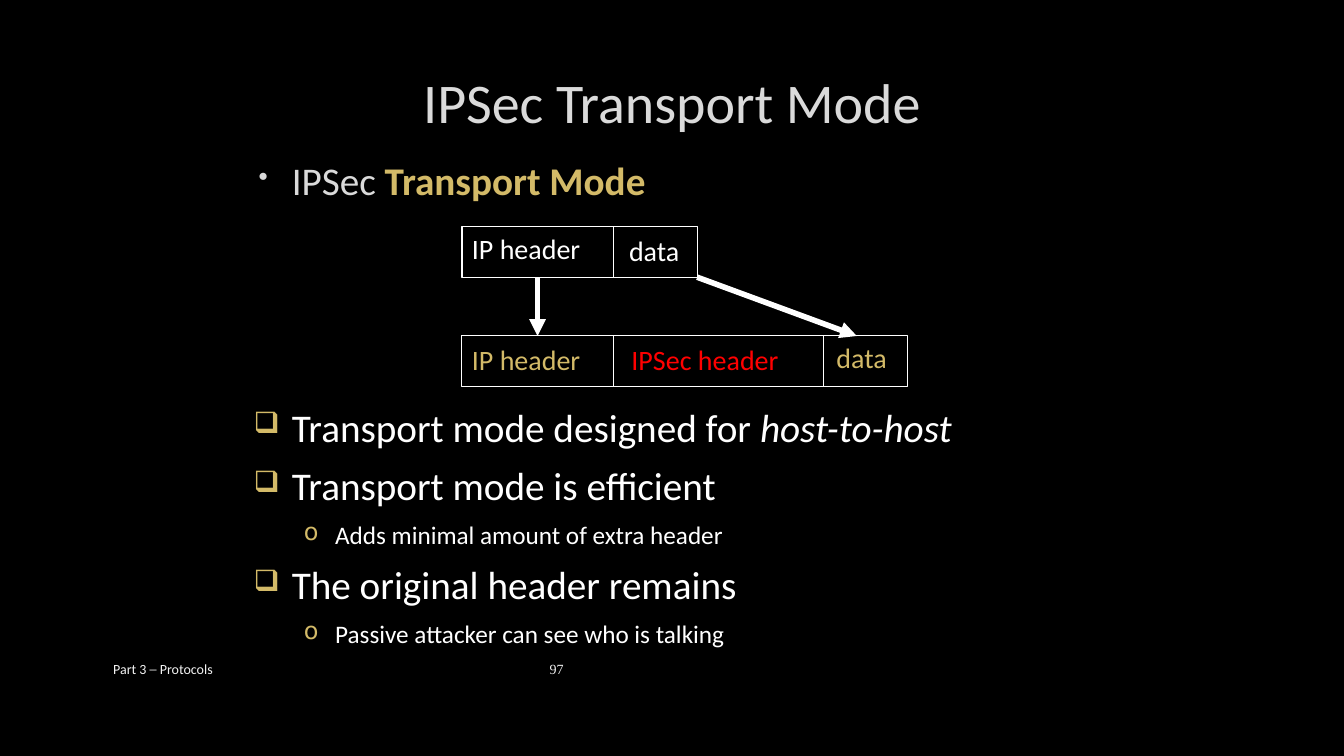
from dataclasses import dataclass

from lxml import etree
from pptx import Presentation
from pptx.dml.color import RGBColor
from pptx.enum.shapes import MSO_CONNECTOR, MSO_SHAPE
from pptx.enum.text import MSO_ANCHOR, MSO_AUTO_SIZE, PP_ALIGN
from pptx.oxml.ns import qn
from pptx.util import Inches, Pt

STRAIGHT, RECTANGLE = MSO_CONNECTOR.STRAIGHT, MSO_SHAPE.RECTANGLE
TOP, MIDDLE = MSO_ANCHOR.TOP, MSO_ANCHOR.MIDDLE
LEFT, CENTER = PP_ALIGN.LEFT, PP_ALIGN.CENTER
GROW = MSO_AUTO_SIZE.SHAPE_TO_FIT_TEXT


@dataclass(frozen=True)
class Theme:
    background: str = "000000"
    white: str = "FFFFFF"
    grey: str = "DADADA"
    footer: str = "F2F2F2"
    gold: str = "D3BA68"
    red: str = "FF0000"
    font: str = "Calibri"
    number_font: str = "Times New Roman"
    title_size: int = 40
    body_size: int = 28
    label_size: int = 20
    detail_size: int = 18
    footer_size: int = 10
    thin: float = 0.75
    thick: float = 4


THEME = Theme()

# Content
TITLE = "IPSec Transport Mode"
INTRO = [("dot", [("IPSec ", {}), ("Transport Mode", {"color": THEME.gold, "bold": True})])]
POINTS = [
    ("box", [("Transport mode designed for ", {}), ("host-to-host", {"italic": True})]),
    ("box", [("Transport mode is efficient", {})]),
    ("ring", [("Adds minimal amount of extra header", {})]),
    ("box", [("The original header remains", {})]),
    ("ring", [("Passive attacker can see who is talking", {})]),
]
FOOTER, PAGE = "Part 3 ─ Protocols", "97"

# Grid of 160 columns by 90 rows, each 1/12 inch
COLUMNS, ROWS = 160, 90
PACKET_LEFT, PACKET_HEIGHT = 55, 6
# Packets: top row, fields of (text, colour, columns, label width, label shift right, down)
PACKETS = [
    (27, [("IP header", THEME.white, 18, 16.2, 0, 0),
          ("data", THEME.white, 10, 8.5, 0.7, 0.25)]),
    (40, [("IP header", THEME.gold, 18, 16.2, 0, 0.2),
          ("IPSec header", THEME.red, 25, 21.1, 1, 0.2),
          ("data", THEME.gold, 10, 8.5, 0.4, 0)]),
]
ARROWS = [((64, 33), (64, 40)), ((83, 33), (102, 40))]

# Levels: bullet, bullet colour, bullet %, left indent, hanging indent, text size, text colour, line %
LEVELS = {
    "dot": ("•", THEME.grey, 70, 0.38, 0.33, THEME.body_size, THEME.grey, 100),
    "box": ("❑", THEME.gold, 75, 0.38, 0.38, THEME.body_size, THEME.white, 90),
    "ring": ("o", THEME.gold, 95, 0.81, 0.31, THEME.detail_size, THEME.white, 90),
}


def grid(cells):
    return Inches(cells / 12)


def add_element(parent, tag, **attributes):
    element = etree.SubElement(parent, qn(tag))
    for name, value in attributes.items():
        element.set(name, str(value))
    return element


def add_run(paragraph, text, size, color, font=THEME.font, bold=False, italic=False):
    run = paragraph.add_run()
    run.text = text
    run.font.size, run.font.name = Pt(size), font
    run.font.bold, run.font.italic = bold, italic
    run.font.color.rgb = RGBColor.from_string(color)


def add_text_box(slide, left, top, width, height, anchor=TOP, wrap=True):
    box = slide.shapes.add_textbox(grid(left), grid(top), grid(width), grid(height))
    frame = box.text_frame
    frame.word_wrap, frame.vertical_anchor = wrap, anchor
    if not wrap:
        frame.auto_size = GROW
    frame.paragraphs[0].alignment = LEFT
    return frame


def add_bullets(frame, items):
    for index, (level, runs) in enumerate(items):
        bullet, bullet_color, share, indent, hanging, size, color, line = LEVELS[level]
        paragraph = frame.add_paragraph() if index else frame.paragraphs[0]
        paragraph.level = int(level == "ring")
        paragraph.line_spacing = line / 100
        properties = paragraph._p.get_or_add_pPr()
        properties.set("marL", str(Inches(indent)))
        properties.set("indent", str(-Inches(hanging)))
        before = add_element(properties, "a:spcBef")
        add_element(before, "a:spcPct", val=20000)
        paragraph.space_after = Pt(6)
        add_element(add_element(properties, "a:buClr"), "a:srgbClr", val=bullet_color)
        add_element(properties, "a:buSzPct", val=share * 1000)
        add_element(properties, "a:buChar", char=bullet)
        for text, style in runs:
            add_run(paragraph, text, size, **{"color": color, **style})


def add_line(slide, start, end, width, arrow=False):
    points = [grid(value) for value in (*start, *end)]
    connector = slide.shapes.add_connector(STRAIGHT, *points)
    connector.line.width = Pt(width)
    connector.line.color.rgb = RGBColor.from_string(THEME.white)
    if arrow:
        add_element(connector.line._get_or_add_ln(), "a:tailEnd", type="triangle")
    add_element(connector._element.spPr, "a:effectLst")


def add_packet(slide, top, fields):
    total = sum(field[2] for field in fields)
    outline = slide.shapes.add_shape(
        RECTANGLE, grid(PACKET_LEFT), grid(top), grid(total), grid(PACKET_HEIGHT))
    outline.shadow.inherit = False
    outline.fill.background()
    outline.line.width = Pt(THEME.thin)
    outline.line.color.rgb = RGBColor.from_string(THEME.white)
    left = PACKET_LEFT
    for text, color, columns, width, right, down in fields:
        if left > PACKET_LEFT:
            add_line(slide, (left, top), (left, top + PACKET_HEIGHT), THEME.thin)
        frame = add_text_box(slide, left + right, top + down, width, 5.25, wrap=False)
        add_run(frame.paragraphs[0], text, THEME.label_size, color)
        left += columns


def main():
    presentation = Presentation()
    presentation.slide_width, presentation.slide_height = grid(COLUMNS), grid(ROWS)
    slide = presentation.slides.add_slide(presentation.slide_layouts[6])
    slide.background.fill.solid()
    slide.background.fill.fore_color.rgb = RGBColor.from_string(THEME.background)

    # Title and opening line
    title = add_text_box(slide, 29, 6, 102, 12, MIDDLE).paragraphs[0]
    title.alignment = CENTER
    add_run(title, TITLE, THEME.title_size, THEME.grey)
    add_bullets(add_text_box(slide, 29, 18, 98, 8), INTRO)

    # Packets before and after
    for top, fields in PACKETS:
        add_packet(slide, top, fields)
    for start, end in ARROWS:
        add_line(slide, start, end, THEME.thick, arrow=True)

    # Points
    add_bullets(add_text_box(slide, 29, 48, 105, 33), POINTS)

    # Footer, with the page number at a tab stop
    footer = add_text_box(slide, 12.3, 77.2, 87.3, 4.8, MIDDLE).paragraphs[0]
    tabs = add_element(footer._p.get_or_add_pPr(), "a:tabLst")
    add_element(tabs, "a:tab", pos=Inches(4.33), algn="l")
    add_run(footer, FOOTER + "\t", THEME.footer_size, THEME.footer)
    add_run(footer, PAGE, THEME.footer_size, THEME.footer, THEME.number_font)

    presentation.save("out.pptx")


if __name__ == "__main__":
    main()
